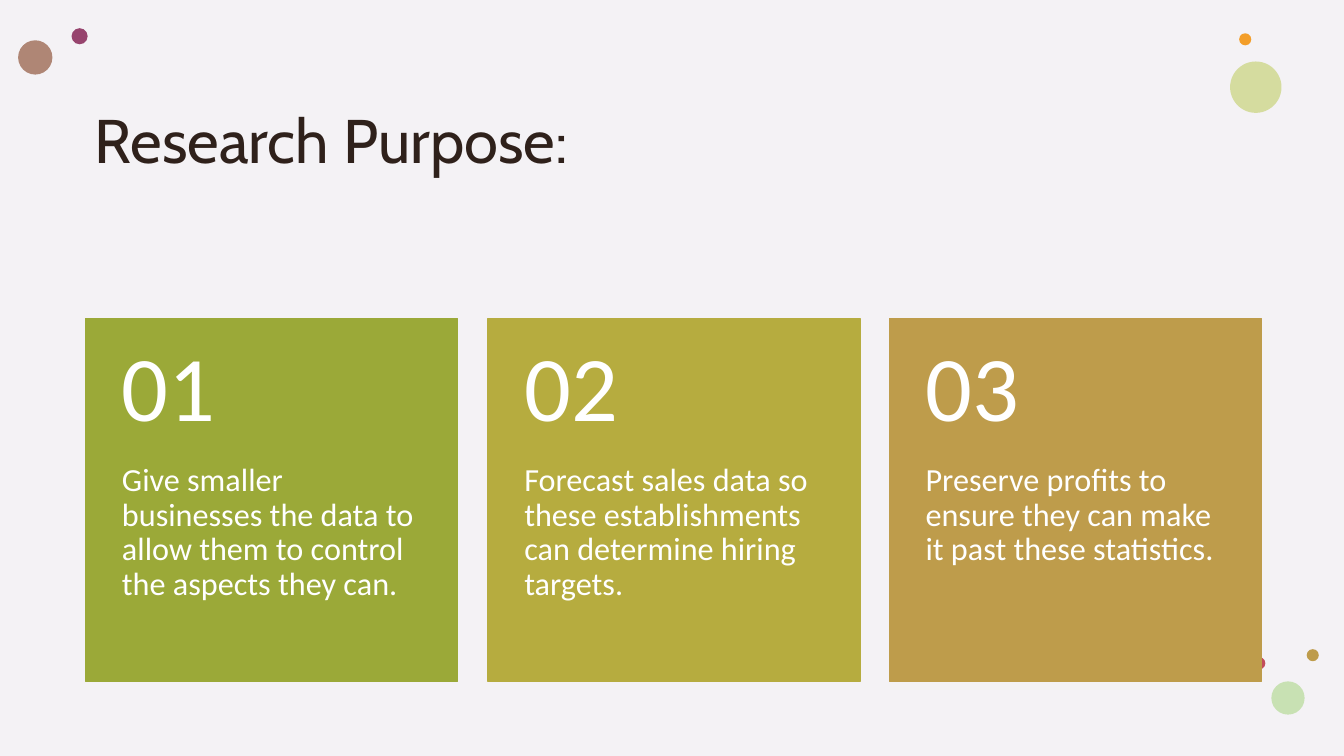
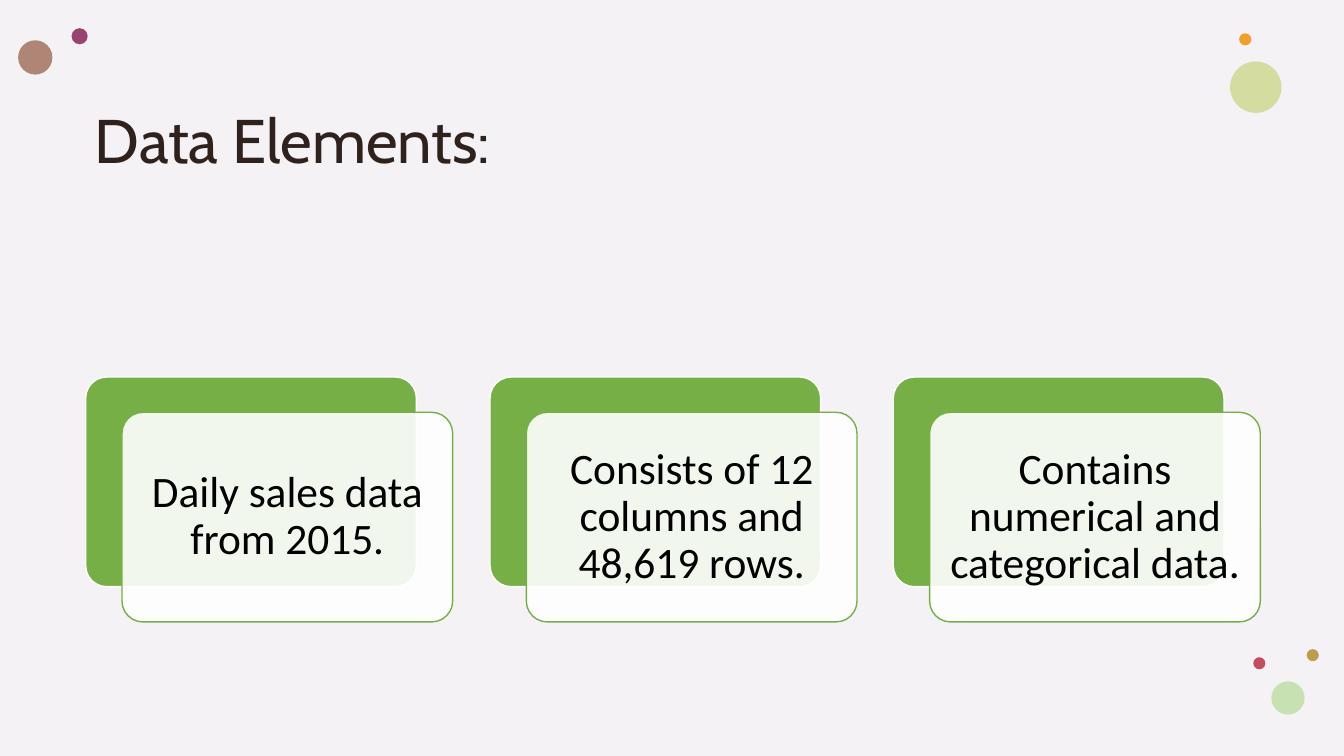
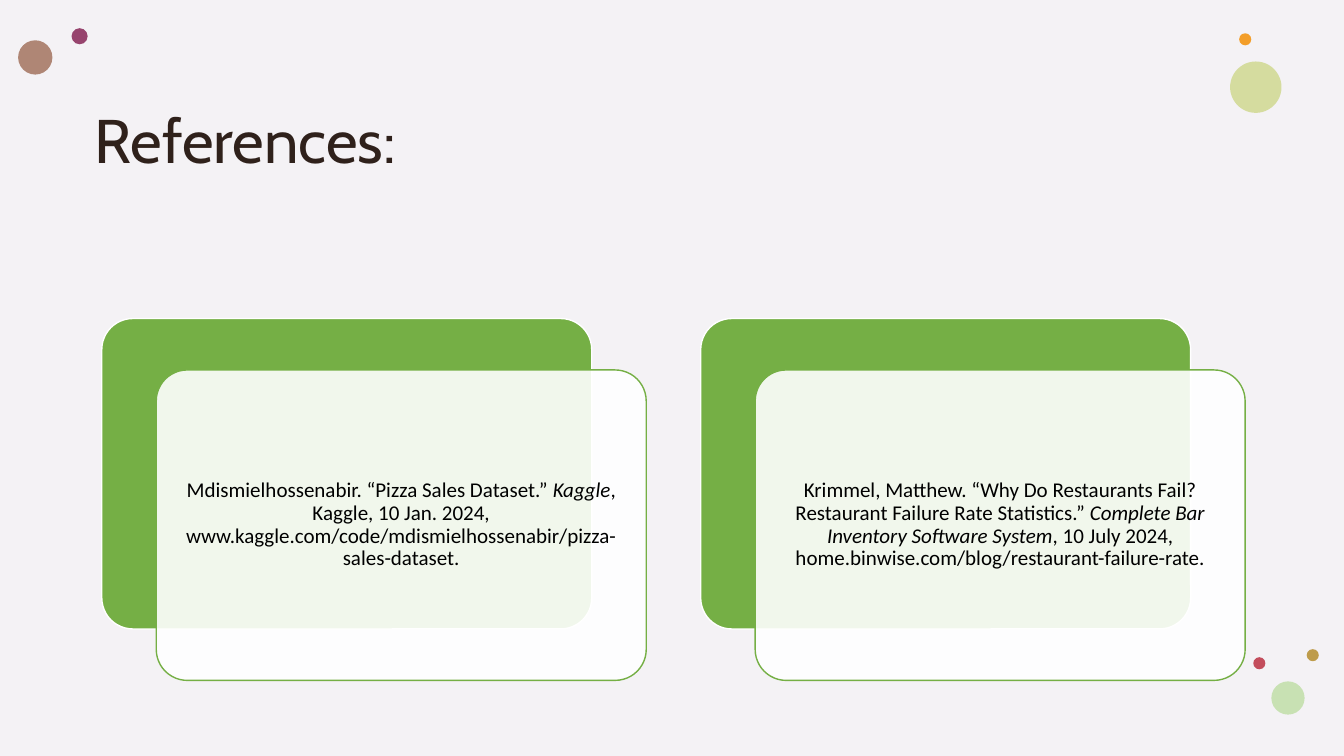
from dataclasses import dataclass

from pptx import Presentation, util as u
from pptx.dml.color import RGBColor
from pptx.enum import shapes, text
from pptx.oxml.xmlchemy import OxmlElement

EMU_PER_PX = 9144


@dataclass(frozen=True)
class Theme:
    background: str = "F4F2F5"
    ink: str = "2F211B"
    black: str = "000000"
    white: str = "FFFFFF"
    green: str = "75AF45"
    card_colors: tuple[str, ...] = ("9BA938", "B6AC3F", "BE9C4B")
    title_font: str = "Cabin"
    body_font: str = "Calibri"
    title_size: int = 44
    number_size: int = 66
    body_size: int = 23
    fact_size: int = 31
    reference_size: int = 15
    line_spacing: float = 0.9


THEME = Theme()


@dataclass(frozen=True)
class Box:
    x: int
    y: int
    w: int
    h: int

    def emu(self) -> tuple[u.Emu, ...]:
        return tuple(px(v) for v in (self.x, self.y, self.w, self.h))


@dataclass(frozen=True)
class Dot:
    x: int
    y: int
    size: int
    color: str
    alpha: int = 100


@dataclass(frozen=True)
class Run:
    text: str
    italic: bool = False


@dataclass(frozen=True)
class Style:
    size: int
    color: str
    font: str = THEME.body_font
    align: text.PP_ALIGN = text.PP_ALIGN.LEFT
    anchor: text.MSO_ANCHOR = text.MSO_ANCHOR.TOP
    insets: tuple[int, int, int, int] = (10, 5, 10, 5)


@dataclass(frozen=True)
class LayeredRow:
    left: int
    right: int
    top: int
    width: int
    height: int
    dx: int
    dy: int
    inset: int
    size: int


DOTS = (
    Dot(71, 28, 16, "97446E"),
    Dot(1220, 61, 51, "CAD47F", 72),
    Dot(1229, 33, 12, "F39E29"),
    Dot(18, 40, 34, "AF8675"),
    Dot(1296, 644, 12, "BE9C4B"),
    Dot(1261, 676, 33, "C8E1B3"),
    Dot(1243, 652, 12, "C34D5C"),
)
TITLE_BOX = Box(84, 104, 1178, 197)
PURPOSES = (
    "Give smaller businesses the data to allow them to control the aspects they can.",
    "Forecast sales data so these establishments can determine hiring targets.",
    "Preserve profits to ensure they can make it past these statistics.",
)
FACTS = (
    (Run("Daily sales data from 2015."),),
    (Run("Consists of 12 columns and 48,619 rows."),),
    (Run("Contains numerical and categorical data."),),
)
REFERENCES = (
    (
        Run("Mdismielhossenabir. “Pizza Sales Dataset.” "),
        Run("Kaggle", True),
        Run(", Kaggle, 10 Jan. 2024, www.kaggle.com/code/mdismielhossenabir/pizza-sales-dataset."),
    ),
    (
        Run("Krimmel, Matthew. “Why Do Restaurants Fail? Restaurant Failure Rate Statistics.” "),
        Run("Complete Bar Inventory Software System", True),
        Run(", 10 July 2024, home.binwise.com/blog/restaurant-failure-rate."),
    ),
)
FACT_ROW = LayeredRow(85, 1214, 374, 328, 208, 36, 35, 13, THEME.fact_size)
REFERENCE_ROW = LayeredRow(101, 1181, 316, 486, 308, 54, 51, 6, THEME.reference_size)


def px(value: int) -> u.Emu:
    return u.Emu(value * EMU_PER_PX)


def spread(left: int, right: int, width: int, count: int) -> list[int]:
    pitch = (right - left - width) / (count - 1)
    return [round(left + i * pitch) for i in range(count)]


def add_shape(s, kind, box: Box, fill: str, alpha: int = 100, line: str | None = None):
    sp = s.shapes.add_shape(kind, *box.emu())
    sp.shadow.inherit = False
    sp.fill.solid()
    sp.fill.fore_color.rgb = RGBColor.from_string(fill)
    if alpha < 100:
        node = OxmlElement("a:alpha")
        node.set("val", str(alpha * 1000))
        sp.fill._xPr.solidFill[0].append(node)
    if line:
        sp.line.color.rgb = RGBColor.from_string(line)
        sp.line.width = u.Pt(1)
    else:
        sp.line.fill.background()
    return sp


def write(sp, runs: tuple[Run, ...], style: Style) -> None:
    tf = sp.text_frame
    tf.word_wrap = True
    tf.auto_size = text.MSO_AUTO_SIZE.NONE
    tf.vertical_anchor = style.anchor
    tf.margin_left, tf.margin_top, tf.margin_right, tf.margin_bottom = map(px, style.insets)
    p = tf.paragraphs[0]
    p.alignment = style.align
    p.line_spacing = THEME.line_spacing
    p.font.name = style.font
    p.font.size = u.Pt(style.size)
    p.font.color.rgb = RGBColor.from_string(style.color)
    for run in runs:
        r = p.add_run()
        r.text = run.text
        if run.italic:
            r.font.italic = True


def add_text(s, box: Box, content: str, style: Style) -> None:
    write(s.shapes.add_textbox(*box.emu()), (Run(content),), style)


def add_slide(prs, title: str):
    s = prs.slides.add_slide(prs.slide_layouts.get_by_name("Title Only"))
    for dot in DOTS:
        box = Box(dot.x, dot.y, dot.size, dot.size)
        add_shape(s, shapes.MSO_SHAPE.OVAL, box, dot.color, dot.alpha)
    sp = s.shapes.title
    sp.left, sp.top, sp.width, sp.height = TITLE_BOX.emu()
    write(sp, (Run(title),), Style(THEME.title_size, THEME.ink, THEME.title_font))
    return s


def add_numbered_cards(s, bodies: tuple[str, ...]) -> None:
    top, width, number_height, body_height = 316, 369, 144, 216
    number_style = Style(THEME.number_size, THEME.white,
                         anchor=text.MSO_ANCHOR.MIDDLE, insets=(36, 18, 36, 18))
    body_style = Style(THEME.body_size, THEME.white, insets=(36, 0, 36, 36))
    columns = spread(85, 1251, width, len(bodies))
    for i, (x, body, color) in enumerate(zip(columns, bodies, THEME.card_colors), 1):
        card = Box(x, top, width, number_height + body_height)
        add_shape(s, shapes.MSO_SHAPE.RECTANGLE, card, color, line=color)
        add_text(s, Box(x, top + number_height, width, body_height), body, body_style)
        add_text(s, Box(x, top, width, number_height), f"{i:02}", number_style)


def add_layered_cards(s, row: LayeredRow, items: tuple[tuple[Run, ...], ...]) -> None:
    style = Style(row.size, THEME.black, align=text.PP_ALIGN.CENTER,
                  anchor=text.MSO_ANCHOR.MIDDLE, insets=(row.inset,) * 4)
    for x, runs in zip(spread(row.left, row.right, row.width, len(items)), items):
        back = add_shape(s, shapes.MSO_SHAPE.ROUNDED_RECTANGLE,
                         Box(x, row.top, row.width, row.height),
                         THEME.green, line=THEME.white)
        front = add_shape(s, shapes.MSO_SHAPE.ROUNDED_RECTANGLE,
                          Box(x + row.dx, row.top + row.dy, row.width, row.height),
                          THEME.white, 90, THEME.green)
        for sp in (back, front):
            sp.adjustments[0] = 0.1
        write(front, runs, style)


def main() -> None:
    prs = Presentation()
    prs.slide_width, prs.slide_height = px(1333), px(750)
    background = prs.slide_master.background.fill
    background.solid()
    background.fore_color.rgb = RGBColor.from_string(THEME.background)
    add_numbered_cards(add_slide(prs, "Research Purpose:"), PURPOSES)
    add_layered_cards(add_slide(prs, "Data Elements:"), FACT_ROW, FACTS)
    add_layered_cards(add_slide(prs, "References:"), REFERENCE_ROW, REFERENCES)
    prs.save("out.pptx")


if __name__ == "__main__":
    main()
